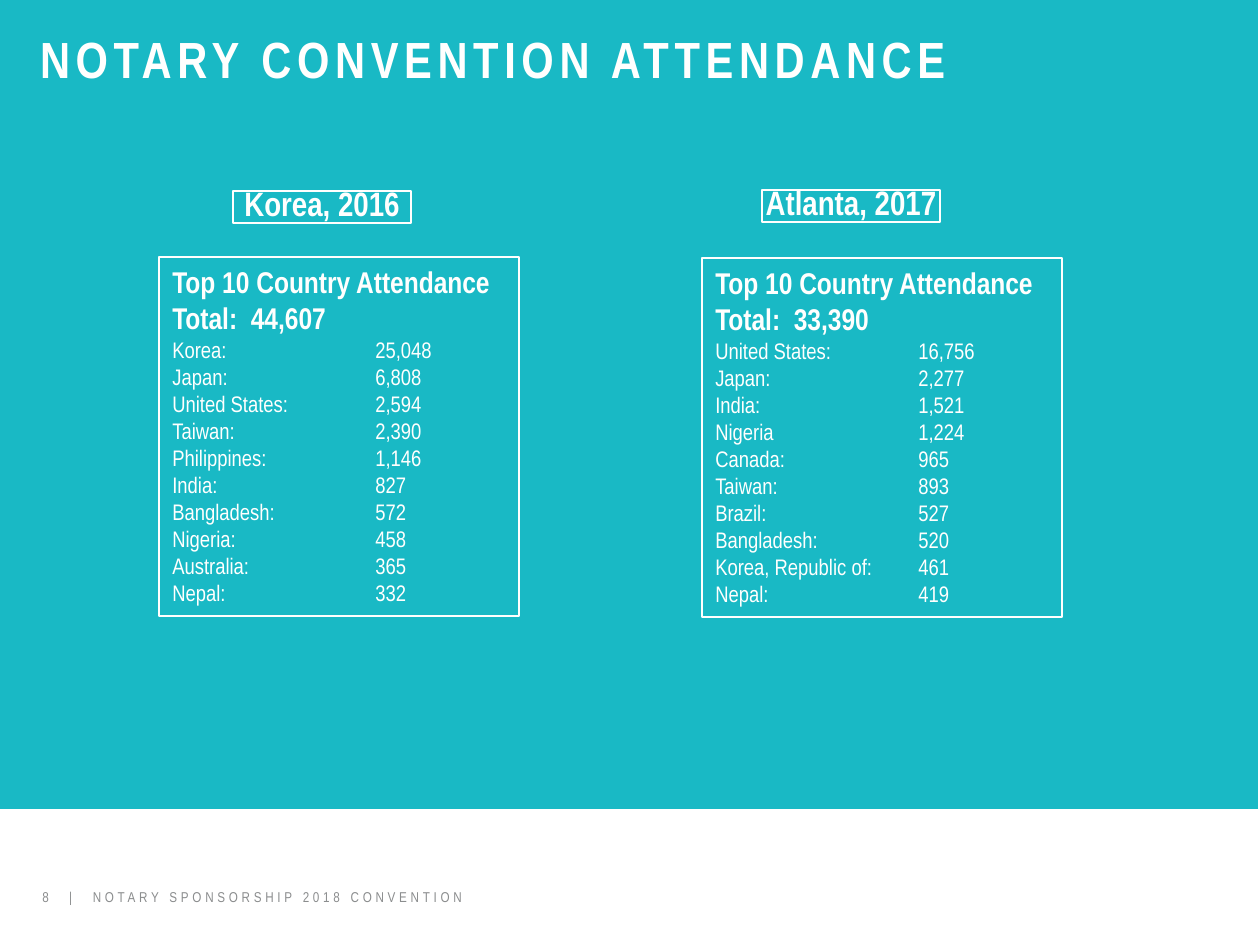
from pptx import Presentation, util as u
from pptx.dml.color import RGBColor
from pptx.enum import shapes, text
from pptx.oxml.ns import qn
from lxml import etree

SCALE = 914400 / 135
COLORS = {"teal": "00B2BF", "white": "FFFFFE", "gray": "8B8D8E"}
BODY = {"name": "Arial Narrow", "size": u.Pt(12), "bold": False}
STRONG = {**BODY, "size": u.Pt(16), "bold": True}
HEADING = {**STRONG, "size": u.Pt(18)}
TITLE = {**STRONG, "size": u.Pt(27.1)}
FOOTER = {**BODY, "size": u.Pt(7.6)}


def px(value):
    return u.Emu(round(value * SCALE))


def add_run(paragraph, words, formats, color="white", spacing=0):
    run = paragraph.add_run()
    run.text = words
    for name, value in formats.items():
        setattr(run.font, name, value)
    run.font.color.rgb = RGBColor.from_string(COLORS[color])
    if spacing:
        run._r.get_or_add_rPr().set("spc", str(spacing))


conventions = [
    {"heading": "Korea, 2016", "heading_at": (233, 191), "list_at": (159, 257),
     "total": "44,607", "countries": [
         ("Korea:", "25,048"), ("Japan:", "6,808"), ("United States:", "2,594"),
         ("Taiwan:", "2,390"), ("Philippines:", "1,146"), ("India:", "827"),
         ("Bangladesh:", "572"), ("Nigeria:", "458"), ("Australia:", "365"),
         ("Nepal:", "332")]},
    {"heading": "Atlanta, 2017", "heading_at": (762, 190), "list_at": (702, 258),
     "total": "33,390", "countries": [
         ("United States:", "16,756"), ("Japan:", "2,277"), ("India:", "1,521"),
         ("Nigeria", "1,224"), ("Canada:", "965"), ("Taiwan:", "893"),
         ("Brazil:", "527"), ("Bangladesh:", "520"),
         ("Korea, Republic of:", "461"), ("Nepal:", "419")]},
]

presentation = Presentation()
presentation.slide_width = px(1260)
presentation.slide_height = px(945)
slide = presentation.slides.add_slide(presentation.slide_layouts[5])

title = slide.shapes.title
title.left, title.top, title.width, title.height = px(40), px(28), px(1154), px(59)
frame = title.text_frame
frame.auto_size = text.MSO_AUTO_SIZE.NONE
frame.vertical_anchor = text.MSO_ANCHOR.TOP
for side in ("left", "top", "right", "bottom"):
    setattr(frame, f"margin_{side}", 0)
frame.paragraphs[0].alignment = text.PP_ALIGN.LEFT
add_run(frame.paragraphs[0], "NOTARY CONVENTION ATTENDANCE", TITLE, spacing=300)

panel = slide.shapes.add_shape(shapes.MSO_SHAPE.RECTANGLE, px(-3), px(0), px(1261), px(809))
panel.shadow.inherit = False
panel.fill.solid()
panel.fill.fore_color.rgb = RGBColor.from_string(COLORS["teal"])
panel.line.fill.background()
fill_color = panel._element.spPr.find(qn("a:solidFill")).find(qn("a:srgbClr"))
etree.SubElement(fill_color, qn("a:alpha")).set("val", "90000")
title._element.addprevious(panel._element)

footer = slide.shapes.add_textbox(px(29), px(882), px(698), px(31))
footer.text_frame.word_wrap = True
paragraph = footer.text_frame.paragraphs[0]
add_run(paragraph, "8  |  ", FOOTER, "gray", 250)
add_run(paragraph, "NOTARY SPONSORSHIP 2018 CONVENTION", FOOTER, "gray", 200)
title._element.addprevious(footer._element)

for convention in conventions:
    boxes = []
    for position, size in (("heading_at", (178, 32)), ("list_at", (360, 359))):
        box = slide.shapes.add_shape(
            shapes.MSO_SHAPE.RECTANGLE, *map(px, convention[position] + size))
        box.shadow.inherit = False
        box.fill.background()
        box.line.color.rgb = RGBColor.from_string(COLORS["white"])
        box.line.width = u.Pt(0.75)
        box.text_frame.word_wrap = True
        box.text_frame.vertical_anchor = text.MSO_ANCHOR.TOP
        boxes.append(box)

    heading, attendance = [box.text_frame for box in boxes]
    for side in ("left", "top", "right", "bottom"):
        setattr(heading, f"margin_{side}", 0)
    paragraph = heading.paragraphs[0]
    paragraph.alignment = text.PP_ALIGN.CENTER
    paragraph.line_spacing = u.Pt(17)
    add_run(paragraph, convention["heading"], HEADING)

    lines = [("Top 10 Country Attendance", STRONG), (f"Total:  {convention['total']}", STRONG)]
    lines += [(f"{country}\t{count}", BODY) for country, count in convention["countries"]]
    for index, (words, formats) in enumerate(lines):
        paragraph = attendance.add_paragraph() if index else attendance.paragraphs[0]
        paragraph.alignment = text.PP_ALIGN.LEFT
        add_run(paragraph, words, formats)
        if formats is BODY:
            tabs = etree.SubElement(paragraph._p.get_or_add_pPr(), qn("a:tabLst"))
            etree.SubElement(tabs, qn("a:tab"), pos=str(px(203)), algn="l")

presentation.save("out.pptx")
